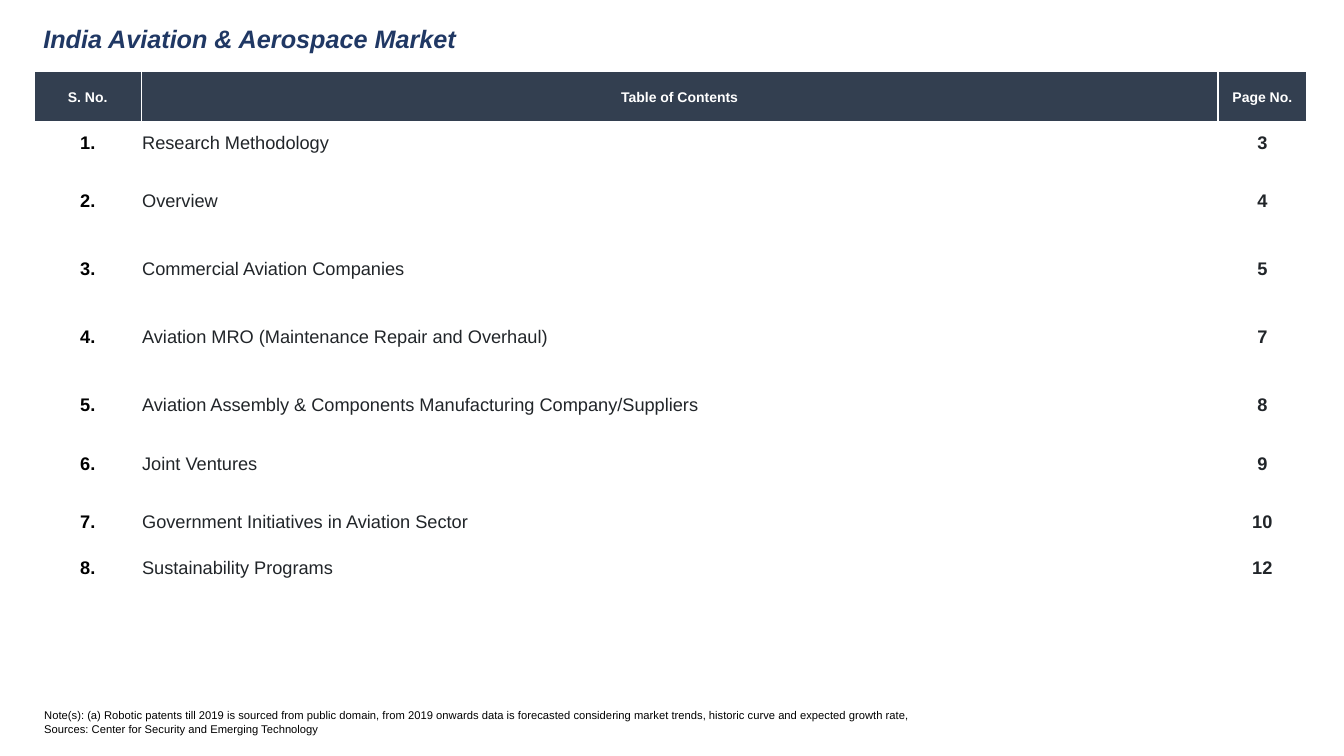
from lxml import etree
from pptx import Presentation
from pptx import util as u
from pptx.dml.color import RGBColor
from pptx.enum import text
from pptx.oxml.ns import qn

PX = 9144  # 100 px to the inch
NAVY, SLATE, INK, BLACK, WHITE = "203864", "333F50", "212529", "000000", "FFFFFF"
LEFT, CENTER = text.PP_ALIGN.LEFT, text.PP_ALIGN.CENTER

HEADINGS = ["S. No.", "Table of Contents", "Page No."]
SECTIONS = [
    ("Research Methodology", 3),
    ("Overview", 4),
    ("Commercial Aviation Companies", 5),
    ("Aviation MRO (Maintenance Repair and Overhaul)", 7),
    ("Aviation Assembly & Components Manufacturing Company/Suppliers", 8),
    ("Joint Ventures", 9),
    ("Government Initiatives in Aviation Sector", 10),
    ("Sustainability Programs", 12),
]
COLUMN_WIDTHS = [106, 1068, 88]
ROW_HEIGHTS = [51, 39, 77, 58, 77, 58, 58, 58, 33, 58, 58]
NOTES = [
    "Note(s): (a) Robotic patents till 2019 is sourced from public domain, from 2019 onwards "
    "data is forecasted considering market trends, historic curve and expected growth rate,",
    "Sources: Center for Security and Emerging Technology",
]


def rgb(color):
    return RGBColor.from_string(color)


class Deck:
    font = "Arial"

    def __init__(self, width, height):
        self.prs = Presentation()
        self.prs.slide_width, self.prs.slide_height = width * PX, height * PX
        self.slide = self.prs.slides.add_slide(self.prs.slide_layouts[5])

    def set_text(self, tf, lines, size, color, bold=False, italic=False, align=LEFT):
        for i, line in enumerate(lines):
            p = tf.add_paragraph() if i else tf.paragraphs[0]
            p.text, p.alignment = line, align
            p.font.name, p.font.size = self.font, u.Pt(size)
            p.font.bold, p.font.italic = bold, italic
            p.font.color.rgb = rgb(color)

    def title(self, line, x, y, w, h):
        sp = self.slide.shapes.title
        sp.left, sp.top, sp.width, sp.height = (n * PX for n in (x, y, w, h))
        tf = sp.text_frame
        tf.auto_size = text.MSO_AUTO_SIZE.NONE
        tf.vertical_anchor = text.MSO_ANCHOR.TOP
        self.set_text(tf, [line], 18, NAVY, bold=True, italic=True)

    def textbox(self, lines, x, y, w, h, size, color):
        sp = self.slide.shapes.add_textbox(*(n * PX for n in (x, y, w, h)))
        sp.text_frame.word_wrap = True
        self.set_text(sp.text_frame, lines, size, color)

    def table(self, x, y, widths, heights):
        frame = self.slide.shapes.add_table(
            len(heights), len(widths), x * PX, y * PX, sum(widths) * PX, sum(heights) * PX)
        for column, width in zip(frame.table.columns, widths):
            column.width = width * PX
        for row, height in zip(frame.table.rows, heights):
            row.height = height * PX
        return frame.table

    def cell(self, cell, fill):
        cell.fill.solid()
        cell.fill.fore_color.rgb = rgb(fill)
        cell.vertical_anchor = text.MSO_ANCHOR.MIDDLE

    def borders(self, cell, color, **widths):
        """Draw cell borders; sides come in the order L, R, T, B, in points."""
        tc_pr = cell._tc.get_or_add_tcPr()
        for i, (side, width) in enumerate(widths.items()):
            ln = etree.Element(qn(f"a:ln{side}"), w=str(u.Pt(width)))
            fill = etree.SubElement(ln, qn("a:solidFill"))
            etree.SubElement(fill, qn("a:srgbClr"), val=color)
            tc_pr.insert(i, ln)


def contents_table(deck):
    table = deck.table(34, 71, COLUMN_WIDTHS, ROW_HEIGHTS)
    for cell, heading in zip(table.rows[0].cells, HEADINGS):
        deck.cell(cell, SLATE)
        deck.borders(cell, WHITE, L=1, R=1, T=1, B=3)
        deck.set_text(cell.text_frame, [heading], 10, WHITE, bold=True, align=CENTER)

    for r in range(1, len(ROW_HEIGHTS)):
        for cell in table.rows[r].cells:
            deck.cell(cell, WHITE)
            cell.margin_left = cell.margin_right = cell.margin_top = PX
            cell.margin_bottom = 0

    for number, (name, page) in enumerate(SECTIONS, 1):
        number_cell, name_cell, page_cell = table.rows[number].cells
        deck.set_text(number_cell.text_frame, [f"{number}."], 13, BLACK, bold=True, align=CENTER)
        deck.set_text(name_cell.text_frame, [name], 13, INK)
        deck.set_text(page_cell.text_frame, [str(page)], 13, INK, bold=True, align=CENTER)


def main():
    deck = Deck(1333, 750)
    deck.title("India Aviation & Aerospace Market", 33, 18, 475, 40)
    contents_table(deck)
    deck.textbox(NOTES, 34, 698, 1298, 37, 8, BLACK)
    deck.prs.save("out.pptx")


if __name__ == "__main__":
    main()
